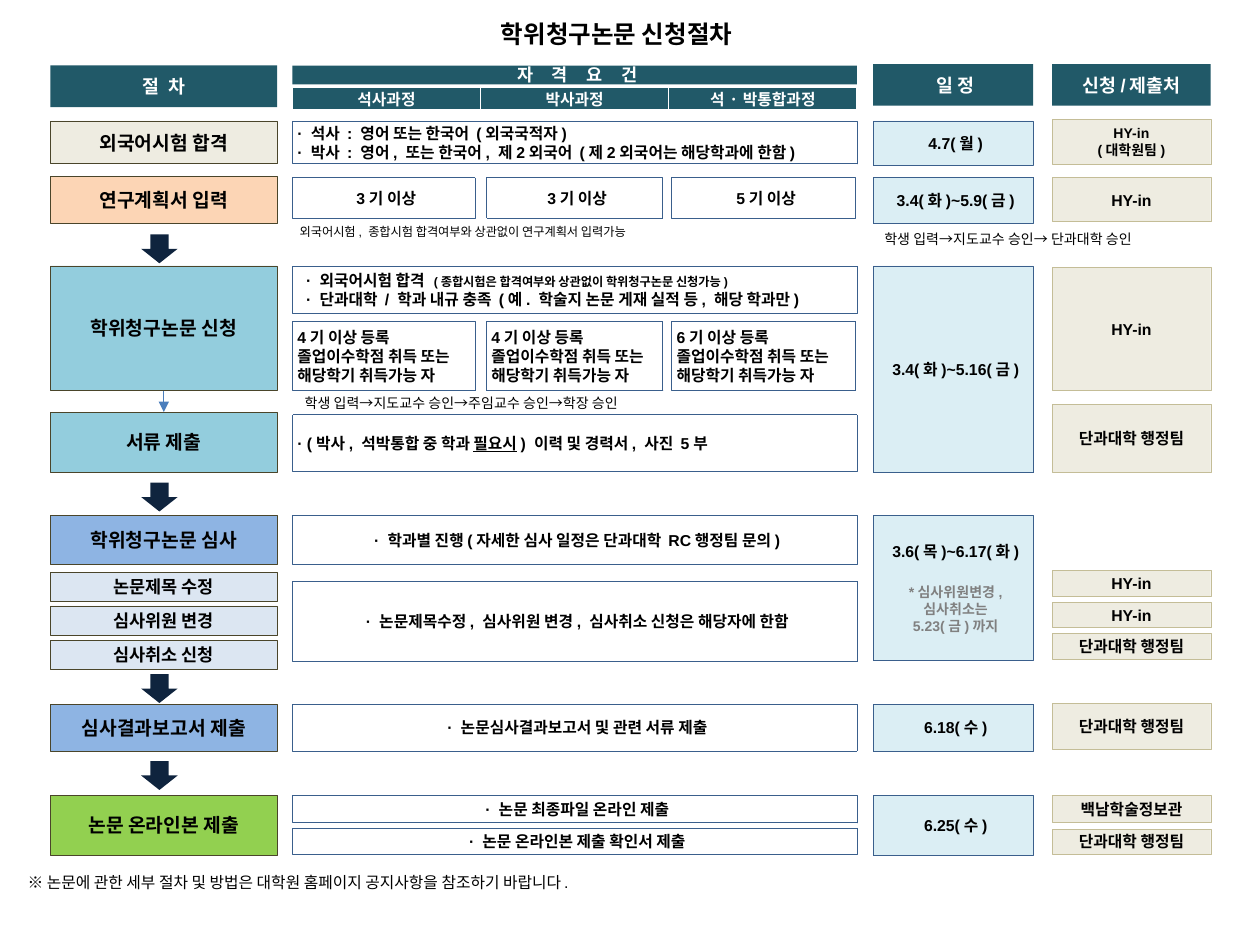
import pptx
import pptx.util
import pptx.dml.color
import pptx.enum.dml
import pptx.enum.shapes
import pptx.enum.text
import pptx.oxml
import pptx.oxml.ns
from lxml import etree

Inches, Pt = pptx.util.Inches, pptx.util.Pt
ALIGN = pptx.enum.text.PP_ALIGN
ANCHOR = pptx.enum.text.MSO_ANCHOR
SHAPE = pptx.enum.shapes.MSO_SHAPE
qn = pptx.oxml.ns.qn

TEAL, NAVY, WHITE, BLACK = "215968", "0F243E", "FFFFFF", "000000"
AQUA, BLUE, PALE_BLUE, ICE, SAND = "93CDDD", "8EB4E3", "DCE6F2", "DBEEF4", "EEECE1"

# Columns: left, width, line colour, left inset, right inset
STEP = (0.4, 1.8, "4A452A", 0.1, 0.1)
RULE = (2.32, 4.48, "3A5F8C", 0.04, 0)
DATE = (6.93, 1.27, "3A5F8C", 0.04, 0)
DESK = (8.35, 1.26, "C4BD97", 0, 0)
COURSES = [(x, w) + RULE[2:] for x, w in ((2.32, 1.45), (3.86, 1.4), (5.33, 1.46))]


def rgb(value):
    return pptx.dml.color.RGBColor.from_string(value)


def box(column, top, height, text, fill=None, size=9, align=ALIGN.CENTER, color=BLACK, framed=True):
    """Draw one cell of the flow in a column and return its paragraphs."""
    left, width, line, left_inset, right_inset = column
    sp = s.shapes.add_shape(SHAPE.RECTANGLE, Inches(left), Inches(top), Inches(width), Inches(height))
    sp.shadow.inherit = False
    if fill:
        sp.fill.solid()
        sp.fill.fore_color.rgb = rgb(fill)
    else:
        sp.fill.background()
    if framed:
        sp.line.color.rgb = rgb(line)
        sp.line.width = Pt(0.25)
        if line == RULE[2]:
            sp.line.dash_style = pptx.enum.dml.MSO_LINE.ROUND_DOT
    else:
        sp.line.fill.background()
    tf = sp.text_frame
    tf.word_wrap = True
    tf.vertical_anchor = ANCHOR.MIDDLE
    tf.margin_left, tf.margin_right = Inches(left_inset), Inches(right_inset)
    tf.margin_top = tf.margin_bottom = 0
    tf.text = text
    for p in tf.paragraphs:
        p.alignment = align
        p.font.name, p.font.size, p.font.bold = "Arial", Pt(size), True
        p.font.color.rgb = rgb(color)
    return tf.paragraphs


prs = pptx.Presentation()
prs.slide_width, prs.slide_height = Inches(10), Inches(7.5)
s = prs.slides.add_slide(prs.slide_layouts[5])

# Title
title = s.shapes.title
title.left, title.top, title.width, title.height = Inches(3.78), Inches(0.1), Inches(2.23), Inches(0.34)
tf = title.text_frame
tf.text = "학위청구논문 신청절차"
tf.word_wrap = False
tf.auto_size = pptx.enum.text.MSO_AUTO_SIZE.NONE
tf.vertical_anchor = ANCHOR.TOP
p = tf.paragraphs[0]
p.alignment = ALIGN.CENTER
p.font.name, p.font.size, p.font.bold = "Arial", Pt(14), True
p.font.color.rgb = rgb(BLACK)

# Column headings, with letter spacing in hundredths of a point
for column, top, height, text, size, spacing in (
    (STEP, 0.52, 0.33, "절 차", 10.5, 140),
    (RULE, 0.52, 0.15, "자 격 요 건", 10, 420),
    (DATE, 0.51, 0.33, "일 정", 10.5, 0),
    (DESK, 0.51, 0.33, "신청/제출처", 10.5, 0),
):
    p = box(column, top, height, text, TEAL, size, color=WHITE, framed=False)[0]
    if spacing:
        p.runs[0].font.bold = True
        p.runs[0].font._element.set("spc", str(spacing))

# Course headings
frame = s.shapes.add_table(1, 3, Inches(RULE[0]), Inches(0.69), Inches(RULE[1]), Inches(0.16))
table = frame.table
table.rows[0].height = Inches(0.16)
for i, text in enumerate(("석사과정", "박사과정", "석·박통합과정")):
    table.columns[i].width = Inches(RULE[1] / 3)
    cell = table.cell(0, i)
    cell.margin_left = cell.margin_right = cell.margin_top = cell.margin_bottom = 0
    cell.text = text
    p = cell.text_frame.paragraphs[0]
    p.alignment = ALIGN.CENTER
    p.font.name, p.font.size, p.font.bold = "Noto Sans CJK KR", Pt(9), True
    p.font.color.rgb = rgb(WHITE)
    tcPr = cell._tc.get_or_add_tcPr()
    for tag, inner in (("a:lnL", i > 0), ("a:lnR", i < 2)):
        if inner:
            ln = etree.SubElement(tcPr, qn(tag), w="12700")
            etree.SubElement(etree.SubElement(ln, qn("a:solidFill")), qn("a:srgbClr"), val=WHITE)
    cell.fill.solid()
    cell.fill.fore_color.rgb = rgb(TEAL)

# Steps
for top, height, text, fill, size in (
    (0.96, 0.34, "외국어시험 합격", SAND, 11),
    (1.4, 0.37, "연구계획서 입력", "FCD5B5", 11),
    (2.11, 0.99, "학위청구논문 신청", AQUA, 11),
    (3.27, 0.48, "서류 제출", AQUA, 11),
    (4.09, 0.39, "학위청구논문 심사", BLUE, 11),
    (4.54, 0.23, "논문제목 수정", PALE_BLUE, 10),
    (4.81, 0.23, "심사위원 변경", PALE_BLUE, 10),
    (5.08, 0.23, "심사취소 신청", PALE_BLUE, 10),
    (5.59, 0.37, "심사결과보고서 제출", BLUE, 11),
    (6.31, 0.48, "논문 온라인본 제출", "92D050", 11),
):
    box(STEP, top, height, text, fill, size)

# Requirements
box(RULE, 0.96, 0.34, "· 석사 : 영어 또는 한국어 (외국국적자)\n"
    "· 박사 : 영어, 또는 한국어, 제2외국어 (제2외국어는 해당학과에 한함)", align=ALIGN.LEFT)
for column, research, thesis in zip(COURSES, (3, 3, 5), (4, 4, 6)):
    box(column, 1.41, 0.32, f"{research}기 이상")
    box(column, 2.55, 0.55, f"{thesis}기 이상 등록\n졸업이수학점 취득 또는\n해당학기 취득가능 자", align=ALIGN.LEFT)

p = box(RULE[:3] + (0.11, 0), 2.11, 0.38, "· 외국어시험 합격 \n"
        "· 단과대학 / 학과 내규 충족 (예. 학술지 논문 게재 실적 등, 해당 학과만)", align=ALIGN.LEFT)[0]
r = p.add_run()
r.text = " (종합시험은 합격여부와 상관없이 학위청구논문 신청가능)"
r.font.size = Pt(7)

p = box(RULE, 3.29, 0.45, "· (박사, 석박통합 중 학과 ", align=ALIGN.LEFT)[0]
for text, underlined in (("필요시", True), (") 이력 및 경력서, 사진 5부", False)):
    r = p.add_run()
    r.text = text
    r.font.underline = underlined

for top, height, text in (
    (4.09, 0.39, "· 학과별 진행(자세한 심사 일정은 단과대학 RC행정팀 문의)"),
    (4.61, 0.64, "· 논문제목수정, 심사위원 변경, 심사취소 신청은 해당자에 한함"),
    (5.59, 0.37, "· 논문심사결과보고서 및 관련 서류 제출"),
    (6.31, 0.22, "· 논문 최종파일 온라인 제출"),
    (6.57, 0.21, "· 논문 온라인본 제출 확인서 제출"),
):
    box(RULE, top, height, text)

# Schedule
for top, height, text in (
    (0.96, 0.35, "4.7(월)"),
    (1.41, 0.36, "3.4(화)~5.9(금)"),
    (2.11, 1.64, "3.4(화)~5.16(금)"),
    (5.59, 0.37, "6.18(수)"),
    (6.31, 0.48, "6.25(수)"),
):
    box(DATE, top, height, text, ICE)
remarks = box(DATE, 4.09, 1.15, "3.6(목)~6.17(화)\n*심사위원변경,\n심사취소는\n5.23(금)까지", ICE)[1:]
remarks[0].space_before = Pt(13)
for p in remarks:
    p.font.size = Pt(8)
    p.font.color.rgb = rgb("808080")

# Where to apply or submit
for top, height, text, size in (
    (0.95, 0.35, "HY-in\n(대학원팀)", 8),
    (1.41, 0.35, "HY-in", 9),
    (2.12, 0.98, "HY-in", 9),
    (3.21, 0.54, "단과대학 행정팀", 9),
    (4.53, 0.2, "HY-in", 9),
    (4.78, 0.2, "HY-in", 9),
    (5.03, 0.2, "단과대학 행정팀", 9),
    (5.58, 0.37, "단과대학 행정팀", 9),
    (6.31, 0.22, "백남학술정보관", 9),
    (6.58, 0.2, "단과대학 행정팀", 9),
):
    box(DESK, top, height, text, SAND, size)

# Arrows between stages
for top in (1.86, 3.83, 5.35, 6.04):
    sp = s.shapes.add_shape(SHAPE.DOWN_ARROW, Inches(1.12), Inches(top), Inches(0.29), Inches(0.23))
    sp.shadow.inherit = False
    sp.fill.solid()
    sp.fill.fore_color.rgb = rgb(NAVY)
    sp.line.fill.background()

line = s.shapes.add_connector(pptx.enum.shapes.MSO_CONNECTOR.STRAIGHT,
                              Inches(1.3), Inches(3.1), Inches(1.3), Inches(3.27))
line.line.color.rgb = rgb("4B7EBC")
line.line.width = Pt(0.75)
etree.SubElement(line.line._get_or_add_ln(), qn("a:tailEnd"), type="triangle")
etree.SubElement(line._element.spPr, qn("a:effectLst"))

# Notes under the rows
for left, top, width, height, text, size in (
    (2.28, 1.73, 3.05, 0.22, "외국어시험, 종합시험 합격여부와 상관없이 연구계획서 입력가능", 7),
    (6.92, 1.78, 2.38, 0.24, "학생 입력→지도교수 승인→ 단과대학 승인", 8),
    (2.32, 3.08, 2.94, 0.24, "학생 입력→지도교수 승인→주임교수 승인→학장 승인", 8),
    (0.12, 6.88, 4.98, 0.25, "※ 논문에 관한 세부 절차 및 방법은 대학원 홈페이지 공지사항을 참조하기 바랍니다.", 9),
):
    tf = s.shapes.add_textbox(Inches(left), Inches(top), Inches(width), Inches(height)).text_frame
    tf.word_wrap = False
    tf.text = text
    p = tf.paragraphs[0]
    p.font.name, p.font.size = "Arial", Pt(size)
    p.font.color.rgb = rgb(BLACK)

prs.save("out.pptx")
